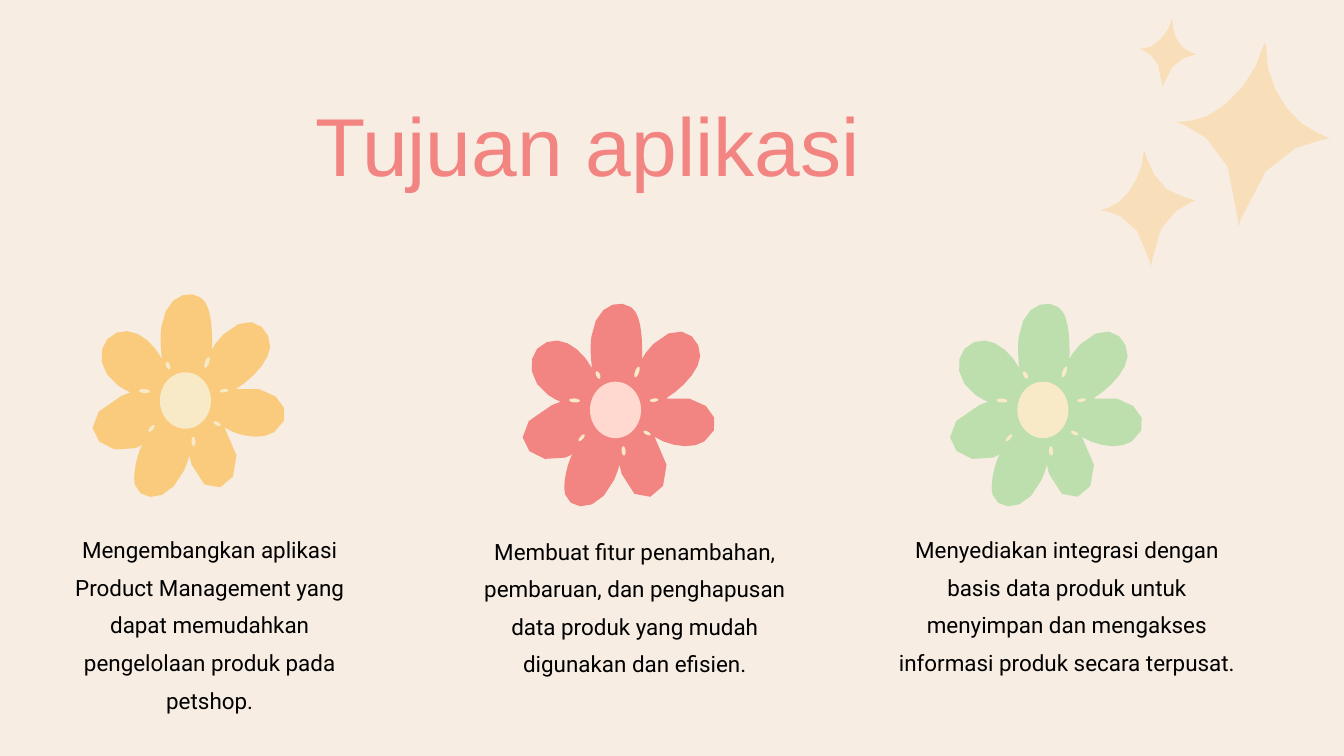
from lxml.etree import SubElement
from pptx import Presentation
from pptx.dml.color import RGBColor
from pptx.enum.shapes import MSO_SHAPE
from pptx.enum.text import MSO_ANCHOR, MSO_AUTO_SIZE, PP_ALIGN
from pptx.oxml.ns import qn
from pptx.util import Inches, Pt

CREAM = RGBColor(0xF7, 0xED, 0xE2)
CORAL = RGBColor(0xF2, 0x84, 0x82)
YELLOW = RGBColor(0xFA, 0xCB, 0x7C)
GREEN = RGBColor(0xBD, 0xDE, 0xAD)
VANILLA = RGBColor(0xF9, 0xEA, 0xC7)
BLUSH = RGBColor(0xFF, 0xD9, 0xCF)
BLACK = RGBColor(0, 0, 0)
STEPS = 5  # line segments per Bezier curve

# Outlines in inches: a start point, then Bezier curves (two controls, end)
PETALS = [
    (4.08, 6.43), (3.88, 6.56, 3.54, 6.49, 3.34, 6.36),
    (3.88, 7.11, 3.08, 7.65, 2.85, 6.91), (2.79, 6.7, 2.86, 6.73, 2.74, 7),
    (2.51, 7.5, 2.09, 7.47, 2.01, 7.22), (1.97, 7.08, 2.03, 6.83, 2.08, 6.7),
    (2.13, 6.57, 2.15, 6.62, 2.01, 6.67), (1.48, 6.84, 1, 6.25, 1.81, 5.89),
    (2, 5.8, 1.98, 5.89, 1.76, 5.74), (1.4, 5.49, 1.45, 5.05, 1.74, 4.95),
    (2, 4.85, 2.27, 5.08, 2.41, 5.34), (2.39, 5.17, 2.38, 5.04, 2.4, 4.87),
    (2.46, 4.4, 2.8, 4.3, 2.99, 4.43), (3.11, 4.51, 3.14, 4.74, 3.15, 4.9),
    (3.19, 5.34, 3.06, 5.24, 3.32, 4.98), (3.72, 4.59, 4.03, 4.88, 4.02, 5.16),
    (4, 5.4, 3.72, 5.66, 3.51, 5.79), (4.18, 5.68, 4.44, 6.2, 4.08, 6.43),
]
STARS = [
    [(17.11, 3.89), (16.89, 2.89, 16.05, 3.22, 16.5, 3.09),
     (16.74, 3.02, 17.01, 2.62, 17.02, 2.26), (17.02, 2.05, 17.07, 2.85, 17.66, 2.95),
     (18.12, 3.03, 17.24, 2.87, 17.14, 3.89), (17.13, 3.98, 17.13, 3.99, 17.11, 3.89)],
    [(18.42, 3.25), (18.4, 1.62, 16.97, 1.86, 17.72, 1.8),
     (18.13, 1.76, 18.67, 1.23, 18.8, 0.68), (18.82, 0.63, 18.84, 0.63, 18.84, 0.68),
     (18.81, 1.25, 19.21, 1.82, 19.59, 1.97), (20.29, 2.24, 18.95, 1.7, 18.47, 3.25),
     (18.42, 3.39, 18.42, 3.42, 18.42, 3.25)],
    [(17.29, 1.25), (17.28, 0.65, 16.76, 0.74, 17.03, 0.72),
     (17.18, 0.71, 17.38, 0.51, 17.43, 0.31), (17.44, 0.29, 17.45, 0.29, 17.45, 0.31),
     (17.43, 0.52, 17.58, 0.73, 17.72, 0.78), (17.98, 0.88, 17.49, 0.68, 17.31, 1.26),
     (17.29, 1.31, 17.29, 1.32, 17.29, 1.25)],
]
# Ovals of the first flower: left, top, width, height, rotation
CENTRE = (2.38, 5.54, 0.76, 0.84, 0)
MARKS = [
    (3.05, 5.31, 0.06, 0.17, 20), (3.27, 5.79, 0.13, 0.05, -8),
    (3.17, 6.28, 0.12, 0.05, 28), (2.85, 6.5, 0.06, 0.14, -5),
    (2.19, 6.35, 0.13, 0.05, -48), (2.07, 5.79, 0.16, 0.06, 4),
    (2.47, 5.38, 0.06, 0.12, -25),
]


def write_text(sp, text, box, *, font, size, color, spacing):
    sp.left, sp.top, sp.width, sp.height = (Inches(v) for v in box)
    tf = sp.text_frame
    tf.margin_left = tf.margin_top = tf.margin_right = tf.margin_bottom = 0
    tf.word_wrap = True
    tf.auto_size = MSO_AUTO_SIZE.SHAPE_TO_FIT_TEXT
    tf.vertical_anchor = MSO_ANCHOR.TOP
    p = tf.paragraphs[0]
    p.alignment, p.line_spacing = PP_ALIGN.CENTER, spacing
    r = p.add_run()
    r.text = text
    r.font.name, r.font.size, r.font.color.rgb = font, Pt(size), color


def draw_outline(shapes, outline, color, dx=0, dy=0):
    x, y = outline[0]
    fb = shapes.build_freeform(Inches(x + dx), Inches(y + dy))
    points = []
    for x1, y1, x2, y2, x3, y3 in outline[1:]:
        for i in range(1, STEPS + 1):
            t = i / STEPS
            a, b, c, d = (1 - t) ** 3, 3 * t * (1 - t) ** 2, 3 * t * t * (1 - t), t ** 3
            points.append((Inches(a * x + b * x1 + c * x2 + d * x3 + dx),
                           Inches(a * y + b * y1 + c * y2 + d * y3 + dy)))
        x, y = x3, y3
    fb.add_line_segments(points, close=True)
    sp = fb.convert_to_shape()
    sp.shadow.inherit = False
    sp.fill.solid()
    sp.fill.fore_color.rgb = color
    sp.line.fill.background()
    return sp


prs = Presentation()
prs.slide_width, prs.slide_height = Inches(20), Inches(11.25)
s = prs.slides.add_slide(prs.slide_layouts[5])
s.background.fill.solid()
s.background.fill.fore_color.rgb = CREAM

# Title
write_text(s.shapes.title, "Tujuan aplikasi", (1.12, 1.11, 15.24, 1.78),
           font="Arial", size=88, color=CORAL, spacing=1.2)

# Three goals: a flower with a caption below
goals = [
    (YELLOW, VANILLA, 0, 0, (0.75, 7.82, 4.74, 3.16),
     "Mengembangkan aplikasi Product Management yang dapat memudahkan "
     "pengelolaan produk pada petshop."),
    (CORAL, BLUSH, 6.4, 0.14, (6.94, 7.84, 5.01, 2.59),
     "Membuat fitur penambahan, pembaruan, dan penghapusan data produk "
     "yang mudah digunakan dan efisien."),
    (GREEN, VANILLA, 12.76, 0.14, (13.37, 7.82, 5.01, 3.16),
     "Menyediakan integrasi dengan basis data produk untuk menyimpan dan "
     "mengakses informasi produk secara terpusat."),
]
for petal_color, centre_color, dx, dy, box, text in goals:
    goal = s.shapes.add_group_shape().shapes
    draw_outline(goal, PETALS, petal_color, dx, dy)
    for x, y, w, h, angle in [CENTRE, *MARKS]:
        sp = goal.add_shape(MSO_SHAPE.OVAL, Inches(x + dx), Inches(y + dy),
                            Inches(w), Inches(h))
        sp.rotation = angle
        sp.shadow.inherit = False
        sp.fill.solid()
        sp.fill.fore_color.rgb = VANILLA if angle else centre_color
        sp.line.fill.background()
    caption = goal.add_textbox(*(Inches(v) for v in box))
    write_text(caption, text, box, font="Roboto", size=24, color=BLACK, spacing=1.4)

# Translucent stars in the corner
sparkles = s.shapes.add_group_shape().shapes
for star in STARS:
    sp = draw_outline(sparkles, star, YELLOW)
    clr = sp.fill._xPr.find(qn("a:solidFill")).find(qn("a:srgbClr"))
    SubElement(clr, qn("a:alpha"), val="40000")

prs.save("out.pptx")
